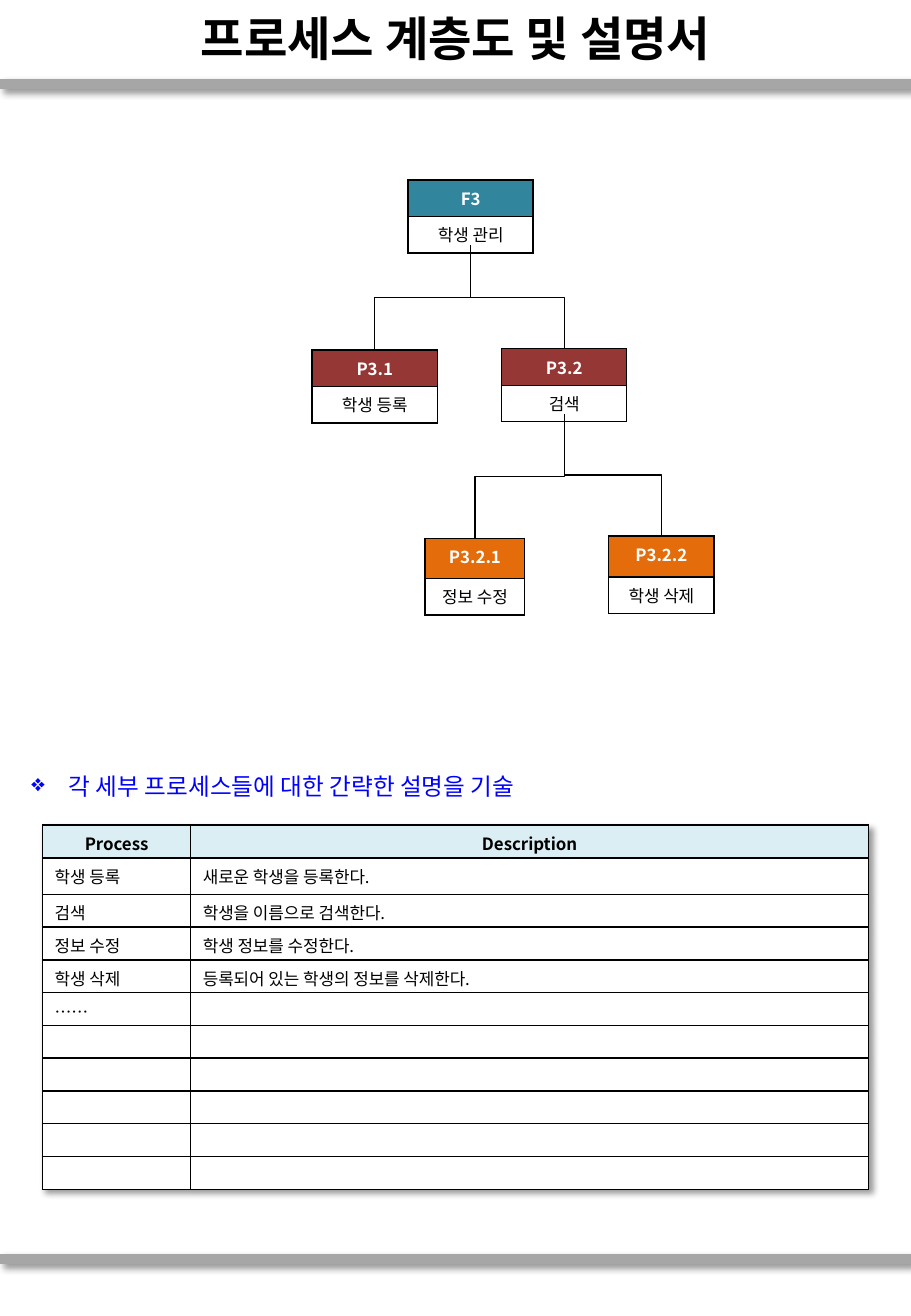
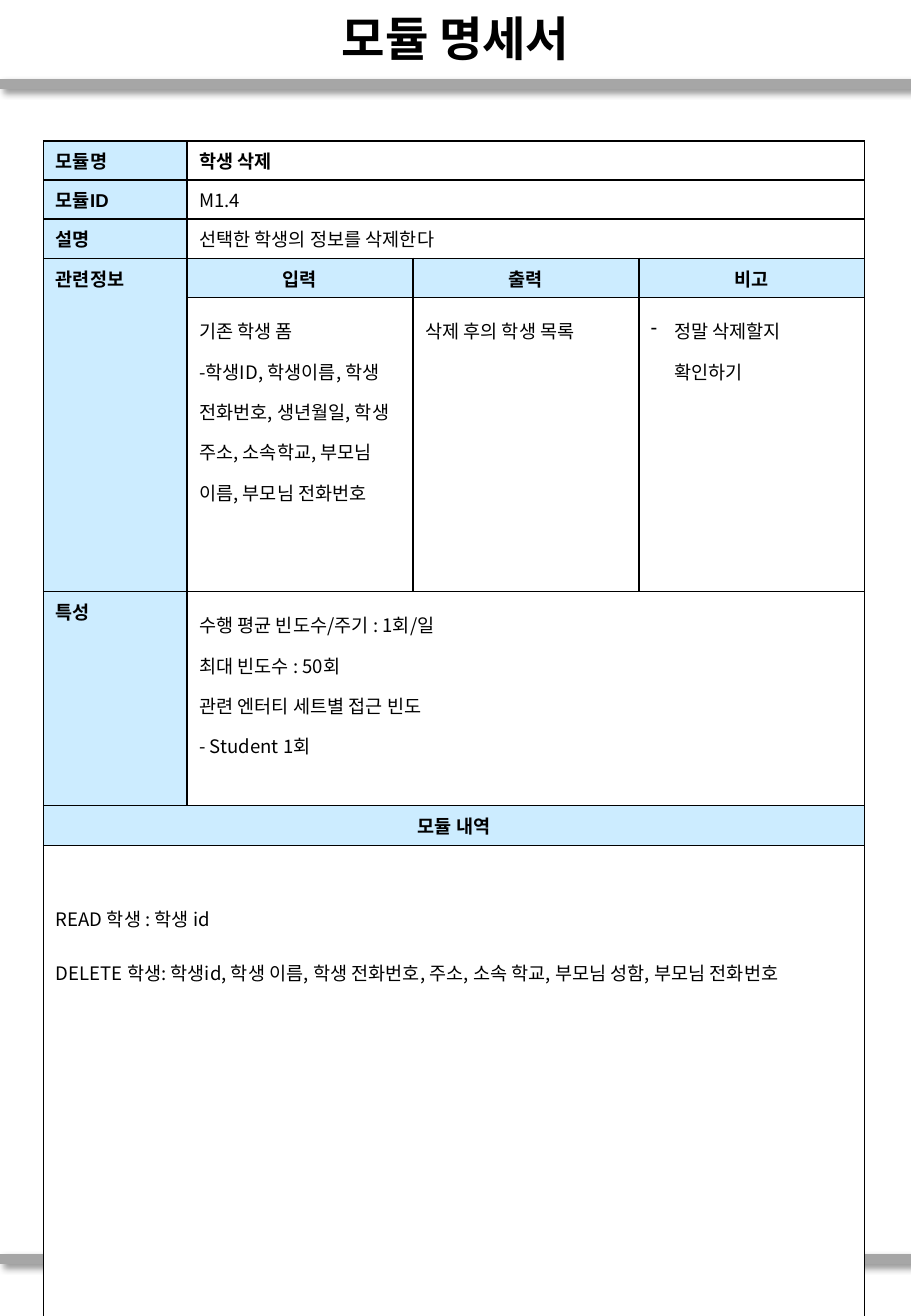
from lxml import etree
from pptx import Presentation
from pptx.dml.color import RGBColor
from pptx.enum import shapes, text
from pptx.oxml import parse_xml
from pptx.oxml.ns import nsdecls, qn
from pptx.util import Inches, Pt

BLACK = RGBColor(0, 0, 0)
WHITE = RGBColor(255, 255, 255)
GRAY = RGBColor(0xA6, 0xA6, 0xA6)
BLUE = RGBColor(0, 0, 255)
TEAL = RGBColor(0x31, 0x85, 0x9C)
RED = RGBColor(0x95, 0x37, 0x35)
ORANGE = RGBColor(0xE4, 0x6C, 0x0A)
PALE = RGBColor(0xDB, 0xEE, 0xF4)
SKY = RGBColor(0xCC, 0xEC, 0xFF)
SANS = "Noto Sans CJK KR"
LEFT, MID = text.PP_ALIGN.LEFT, text.PP_ALIGN.CENTER
TOP, CENTER = text.MSO_ANCHOR.TOP, text.MSO_ANCHOR.MIDDLE

TITLES = ["프로세스 계층도 및 설명서", "모듈 명세서"]
RULES = [0.69, 10.36]
NOTE = "각 세부 프로세스들에 대한 간략한 설명을 기술"

NODES = {
    "F3": ("학생 관리", TEAL, 3.36, 1.48, 1.03, 0.27),
    "P3.1": ("학생 등록", RED, 2.57, 2.88, 1.03, 0.27),
    "P3.2": ("검색", RED, 4.13, 2.87, 1.03, 0.27),
    "P3.2.1": ("정보 수정", ORANGE, 3.5, 4.43, 0.82, 0.33),
    "P3.2.2": ("학생 삭제", ORANGE, 5.01, 4.41, 0.87, 0.34),
}
NAME_H = 0.27
LINKS = [("F3", "P3.1"), ("F3", "P3.2"), ("P3.2", "P3.2.1"), ("P3.2", "P3.2.2")]

STEPS = [
    ("Process", "Description"),
    ("학생 등록", "새로운 학생을 등록한다."),
    ("검색", "학생을 이름으로 검색한다."),
    ("정보 수정", "학생 정보를 수정한다."),
    ("학생 삭제", "등록되어 있는 학생의 정보를 삭제한다."),
    ("……", ""),
] + [("", "")] * 5

HEAD = dict(fill=SKY, bold=True, face="Arial")
TITLE = dict(HEAD, align=MID)
BODY = dict(space=1.5)
MODULE = [
    (0, 0, 1, 1, "모듈명", HEAD),
    (0, 1, 1, 3, "학생 삭제", dict(bold=True)),
    (1, 0, 1, 1, "모듈ID", HEAD),
    (1, 1, 1, 3, "M1.4", {}),
    (2, 0, 1, 1, "설명", HEAD),
    (2, 1, 1, 3, "선택한 학생의 정보를 삭제한다", {}),
    (3, 0, 2, 1, "관련정보", HEAD),
    (3, 1, 1, 1, "입력", TITLE),
    (3, 2, 1, 1, "출력", TITLE),
    (3, 3, 1, 1, "비고", TITLE),
    (4, 1, 1, 1, "기존 학생 폼\n-학생ID, 학생이름, 학생 전화번호, 생년월일, 학생 주소, "
     "소속학교, 부모님 이름, 부모님 전화번호", BODY),
    (4, 2, 1, 1, "삭제 후의 학생 목록", BODY),
    (4, 3, 1, 1, "정말 삭제할지 확인하기", dict(BODY, mark="-", indent=0.19)),
    (5, 0, 1, 1, "특성", HEAD),
    (5, 1, 1, 3, "수행 평균 빈도수/주기 : 1회/일\n최대 빈도수 : 50회\n"
     "관련 엔터티 세트별 접근 빈도\n- Student 1회", BODY),
    (6, 0, 1, 4, "모듈 내역", TITLE),
    (7, 0, 1, 4, "READ 학생 : 학생 id\nDELETE 학생: 학생id, 학생 이름, 학생 전화번호, "
     "주소, 소속 학교, 부모님 성함, 부모님 전화번호", dict(space=2.0, inset=0.27)),
]
MOD_COLS = [1.18] + [1.86] * 3
MOD_ROWS = [0.32] * 4 + [2.42, 1.76, 0.33, 4.05]

SHADOW = (
    f'<a:effectLst {nsdecls("a")}><a:outerShdw blurRad="50800" dist="38100" '
    'dir="2700000" algn="tl" rotWithShape="0"><a:srgbClr val="000000">'
    '<a:alpha val="40000"/></a:srgbClr></a:outerShdw></a:effectLst>'
)
FLAT = f'<a:effectLst {nsdecls("a")}/>'


def write(frame, words, size, color=BLACK, bold=False, face=SANS, align=LEFT,
          space=None, mark=None, indent=0):
    frame.word_wrap = True
    for i, line in enumerate(words.split("\n")):
        par = frame.paragraphs[0] if i == 0 else frame.add_paragraph()
        par.alignment = align
        if space:
            par.line_spacing = space
        if mark:
            prop = par._p.get_or_add_pPr()
            prop.set("marL", str(Inches(indent)))
            prop.set("indent", str(-Inches(indent)))
            etree.SubElement(prop, qn("a:buChar")).set("char", mark)
        if not line:
            end = etree.SubElement(par._p, qn("a:endParaRPr"))
            end.set("sz", str(size * 100))
            continue
        run = par.add_run()
        run.text = line
        for key, val in dict(size=Pt(size), bold=bold, name=face).items():
            setattr(run.font, key, val)
        run.font.color.rgb = color
        east = etree.SubElement(run._r.get_or_add_rPr(), qn("a:ea"))
        east.set("typeface", SANS)


def fill_cell(cell, words, size, fill=WHITE, anchor=TOP, inset=0.05, **form):
    prop = cell._tc.get_or_add_tcPr()
    for side in "LRTB":
        prop.append(parse_xml(
            f'<a:ln{side} {nsdecls("a")} w="12700"><a:solidFill>'
            f'<a:srgbClr val="{BLACK}"/></a:solidFill></a:ln{side}>'))
    cell.fill.solid()
    cell.fill.fore_color.rgb = fill
    cell.vertical_anchor = anchor
    cell.margin_top = Inches(inset)
    write(cell.text_frame, words, size, **form)


def add_grid(slide, x, y, cols, rows):
    grid = slide.shapes.add_table(
        len(rows), len(cols), Inches(x), Inches(y),
        Inches(sum(cols)), Inches(sum(rows))).table
    grid.first_row = grid.horz_banding = False
    for col, w in zip(grid.columns, cols):
        col.width = Inches(w)
    for row, h in zip(grid.rows, rows):
        row.height = Inches(h)
    return grid


def add_line(slide, kind, x1, y1, x2, y2, color, width, effect):
    line = slide.shapes.add_connector(
        kind, Inches(x1), Inches(y1), Inches(x2), Inches(y2))
    line.line.color.rgb = color
    line.line.width = Pt(width)
    line.element.spPr.append(parse_xml(effect))
    return line


def add_link(slide, top, low):
    _, _, x, y, w, h = NODES[top]
    x1, y1 = x + w / 2, y + h + NAME_H
    _, _, x, y2, w, _ = NODES[low]
    x2 = x + w / 2
    cx, cy = (x1 + x2) / 2, (y1 + y2) / 2
    dx, dy = (x1 - x2) / 2, (y2 - y1) / 2
    link = add_line(slide, shapes.MSO_CONNECTOR.ELBOW, cx - dy, cy - dx,
                    cx + dy, cy + dx, BLACK, 0.75, FLAT)
    link.element.spPr.find(qn("a:xfrm")).set("rot", "5400000")


def add_page(prs, words):
    slide = prs.slides.add_slide(prs.slide_layouts[5])
    title = slide.shapes.title
    place = dict(left=0, top=0.01, width=7.5, height=0.6)
    for key, val in place.items():
        setattr(title, key, Inches(val))
    title.text_frame.auto_size = text.MSO_AUTO_SIZE.NONE
    title.text_frame.vertical_anchor = CENTER
    write(title.text_frame, words, 28, bold=True, align=MID)
    return slide


def add_tree(slide):
    for code, (name, color, x, y, w, h) in NODES.items():
        grid = add_grid(slide, x, y, [w], [h, NAME_H])
        fill_cell(grid.cell(0, 0), code, 10, fill=color, color=WHITE,
                  bold=True, align=MID)
        fill_cell(grid.cell(1, 0), name, 10, align=MID)
    for top, low in LINKS:
        add_link(slide, top, low)


def add_steps(slide):
    box = slide.shapes.add_textbox(
        Inches(0.16), Inches(6.3), Inches(6.14), Inches(0.34))
    write(box.text_frame, NOTE, 14, color=BLUE, mark="❖", indent=0.31)
    rows = [0.27, 0.3] + [0.27] * (len(STEPS) - 2)
    grid = add_grid(slide, 0.35, 6.79, [1.22, 5.58], rows)
    grid._tbl.tblPr.insert(0, parse_xml(SHADOW))
    for r, pair in enumerate(STEPS):
        form = {} if r else dict(fill=PALE, bold=True, align=MID)
        for c, words in enumerate(pair):
            fill_cell(grid.cell(r, c), words, 10, anchor=CENTER, **form)


def add_module(slide):
    grid = add_grid(slide, 0.36, 1.16, MOD_COLS, MOD_ROWS)
    for r, c, down, wide, words, form in MODULE:
        cell = grid.cell(r, c)
        if down * wide > 1:
            cell.merge(grid.cell(r + down - 1, c + wide - 1))
        fill_cell(cell, words, 11, **form)
        for i in range(r, r + down):
            for j in range(c, c + wide):
                if (i, j) != (r, c):
                    fill_cell(grid.cell(i, j), "", 11, fill=form.get("fill", WHITE))


def main():
    prs = Presentation()
    prs.slide_width, prs.slide_height = Inches(7.5), Inches(10.83)
    first, second = [add_page(prs, words) for words in TITLES]
    for y in RULES:
        rule = add_line(first, shapes.MSO_CONNECTOR.STRAIGHT, 0, y, 7.5, y,
                        GRAY, 6, SHADOW)
        prs.slide_master.shapes.element.append(rule.element)
    add_tree(first)
    add_steps(first)
    add_module(second)
    prs.save("out.pptx")


if __name__ == "__main__":
    main()
